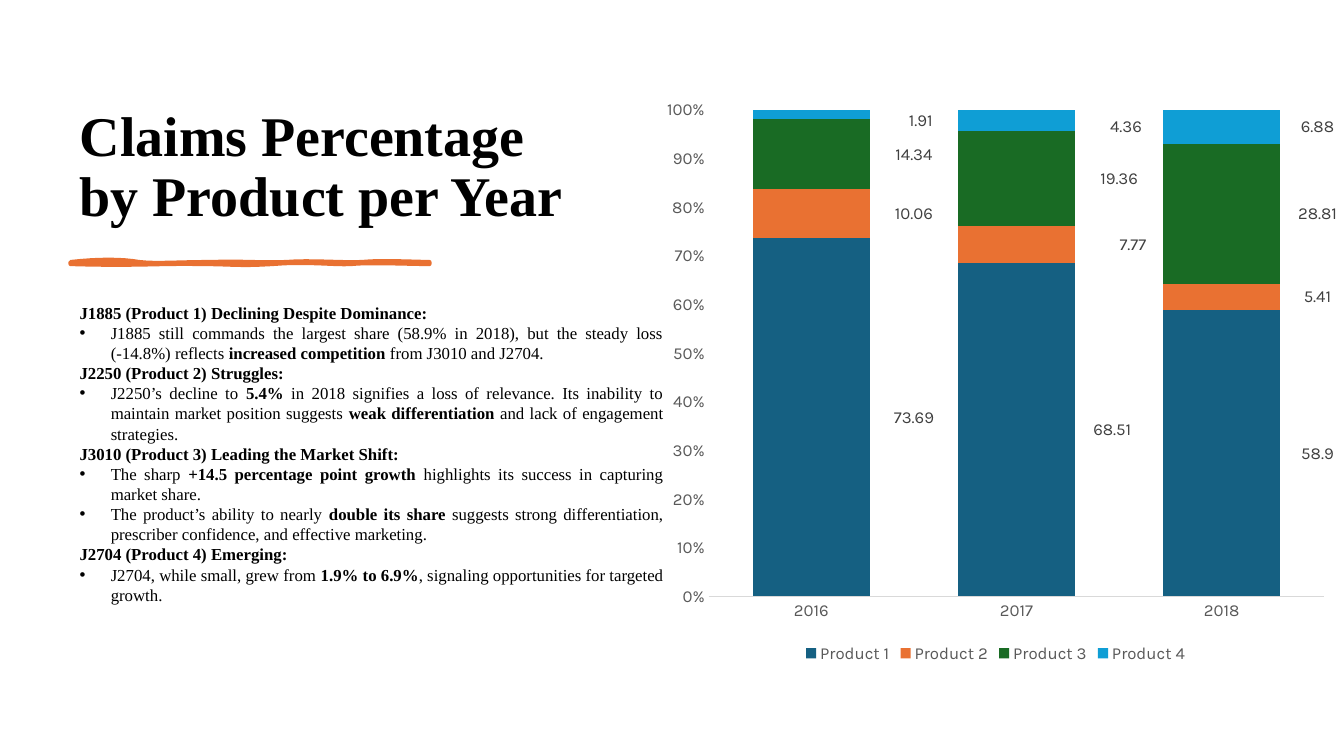
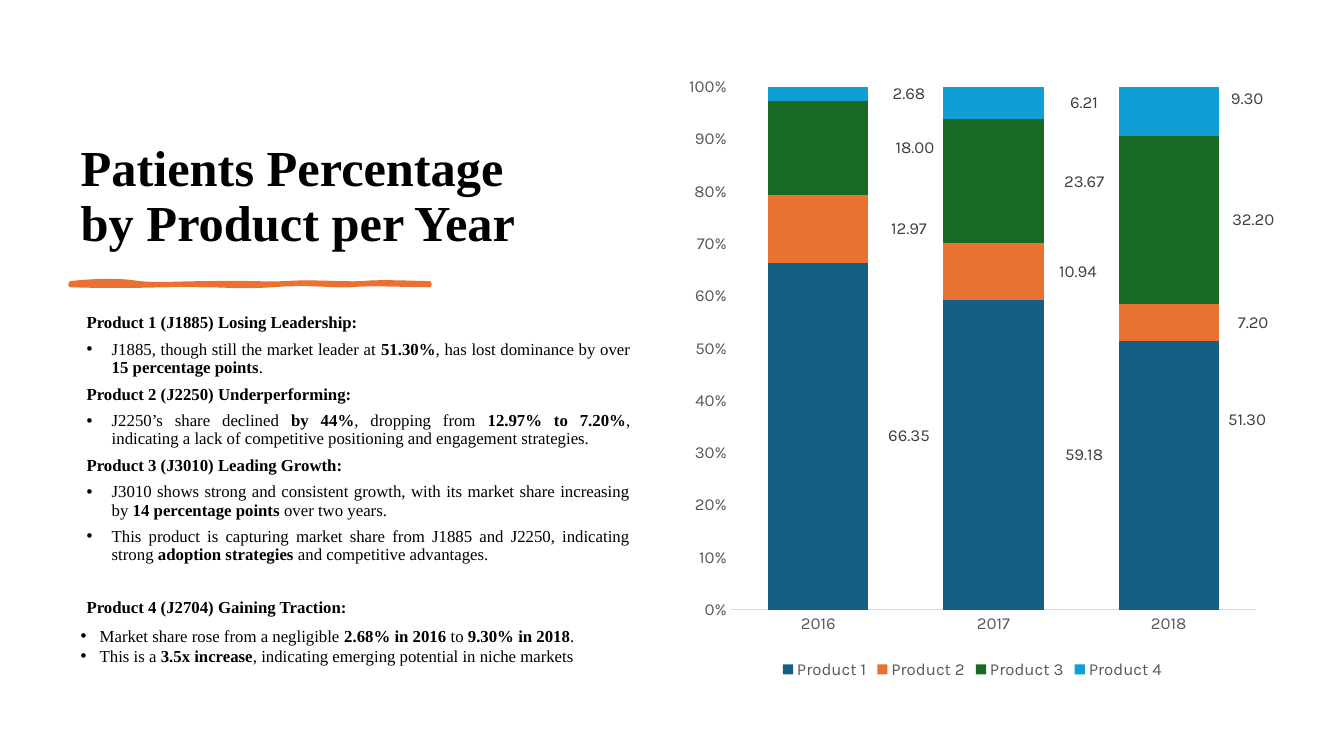
"""Build two slides on yearly product shares, each with notes and a stacked chart."""
import dataclasses
import itertools
import typing

import lxml.etree
import pptx
import pptx.chart.chart
import pptx.chart.data
import pptx.dml.color
import pptx.enum.chart
import pptx.enum.text
import pptx.oxml.ns
import pptx.slide
import pptx.util

Inches = pptx.util.Inches
Pt = pptx.util.Pt
RGB = pptx.dml.color.RGBColor
ALIGN = pptx.enum.text.PP_ALIGN
ANCHOR = pptx.enum.text.MSO_ANCHOR
CHART = pptx.enum.chart
qn = pptx.oxml.ns.qn

BLACK = RGB(0x00, 0x00, 0x00)
BLUE = RGB(0x15, 0x60, 0x82)
ORANGE = RGB(0xE9, 0x71, 0x32)
GREEN = RGB(0x19, 0x6B, 0x24)
SKY = RGB(0x0F, 0x9E, 0xD5)
GRAY = RGB(0x59, 0x59, 0x59)
DARK = RGB(0x40, 0x40, 0x40)
PALE = RGB(0xD9, 0xD9, 0xD9)
SERIF = "Times New Roman"
SANS = "Karla"
YEARS = ("2016", "2017", "2018")
FILLS = (BLUE, ORANGE, GREEN, SKY)

Box = tuple[float, float, float, float]
Pair = tuple[float, float]

WAVE: tuple[Pair, ...] = (
    (0, 0), (0.27, -0.03), (0.51, -0.03), (0.68, 0), (0.85, 0.02), (1.07, 0),
    (1.39, 0), (1.71, -0.01), (1.9, 0.01), (2.14, 0), (2.38, -0.02), (2.69, 0.01),
    (2.89, 0), (3.09, -0.02), (3.42, 0), (3.56, 0), (3.56, 0), (3.56, 0.01),
    (3.56, 0.02), (3.38, 0.02), (2.94, 0), (2.78, 0.02), (2.62, 0.03), (2.34, -0.01),
    (2, 0.02), (1.65, 0.04), (1.61, 0.02), (1.29, 0.02), (0.96, 0.01), (0.62, 0.04),
    (0, 0.02), (0, 0.01), (0, 0), (0, 0),
)


@dataclasses.dataclass(frozen=True)
class Style:
    """Indents and spacing of one kind of paragraph."""
    left: float = 0
    hang: float = 0
    after: float = 0
    lead: float = 1
    before: float = 0


@dataclasses.dataclass(frozen=True)
class Graph:
    """Place, values and label shifts of a chart, by series."""
    box: Box
    mask: str
    rows: tuple[tuple[float, ...], ...]
    shifts: tuple[tuple[Pair, ...], ...]
    plot: Box | None = None


@dataclasses.dataclass(frozen=True)
class Page:
    """Everything that one slide shows."""
    title: str
    size: float
    head: Box
    foot: float
    wave: float
    body: Box
    notes: tuple[tuple[Style, str], ...]
    graph: Graph


HEAD = Style()
ITEM = Style(0.31, 0.31)
TOPIC = Style(0.06, 0, 6, 0.9)
POINT = Style(0.31, 0.25, 6, 0.9)
LAST = dataclasses.replace(TOPIC, before=18.5)
SMALL = Style(0.19, 0.19)

PAGES = (
    Page(
        "**Claims Percentage by Product per Year**", 40, (0.69, 0.7, 5.27, 1.62), 0.05,
        2.6, (0.69, 2.95, 5.99, 3.4),
        (
            (HEAD, "**J1885 (Product 1) Declining Despite Dominance:**"),
            (ITEM, "J1885 still commands the largest share (58.9% in 2018), but the steady "
                   "loss (-14.8%) reflects **increased competition** from J3010 and J2704."),
            (HEAD, "**J2250 (Product 2) Struggles:**"),
            (ITEM, "J2250’s decline to **5.4%** in 2018 signifies a loss of relevance. Its "
                   "inability to maintain market position suggests **weak differentiation** "
                   "and lack of engagement strategies."),
            (HEAD, "**J3010 (Product 3) Leading the Market Shift:**"),
            (ITEM, "The sharp **+14.5 percentage point growth** highlights its success in "
                   "capturing market share."),
            (ITEM, "The product’s ability to nearly **double its share** suggests strong "
                   "differentiation, prescriber confidence, and effective marketing."),
            (HEAD, "**J2704 (Product 4) Emerging:**"),
            (ITEM, "J2704, while small, grew from **1.9% to 6.9%**, signaling opportunities "
                   "for targeted growth."),
        ),
        Graph(
            (6.48, 0.88, 6.79, 5.74), "General",
            ((73.69, 68.51, 58.9), (10.06, 7.77, 5.41),
             (14.34, 19.36, 28.81), (1.91, 4.36, 6.88)),
            (((0.15, 0), (0.14, 0), (0.14, 0)), ((0.15, 0), (0.17, 0), (0.14, 0)),
             ((0.15, 0), (0.15, 0), (0.14, 0)), ((0.16, 0.01), (0.16, 0.01), (0.14, 0))),
        ),
    ),
    Page(
        "**Patients Percentage by Product per Year**", 36, (0.7, 1.19, 4.58, 1.88), 0.57,
        2.81, (0.7, 3.07, 5.65, 4.3),
        (
            (TOPIC, "**Product 1 (J1885) Losing Leadership:**"),
            (POINT, "J1885, though still the market leader at **51.30%**, has lost dominance "
                    "by over **15 percentage points**."),
            (TOPIC, "**Product 2 (J2250) Underperforming:**"),
            (POINT, "J2250’s share declined **by 44%**, dropping from **12.97% to 7.20%**, "
                    "indicating a lack of competitive positioning and engagement strategies."),
            (TOPIC, "**Product 3 (J3010) Leading Growth:**"),
            (POINT, "J3010 shows strong and consistent growth, with its market share "
                    "increasing by **14 percentage points** over two years."),
            (POINT, "This product is capturing market share from J1885 and J2250, indicating "
                    "strong **adoption strategies** and competitive advantages."),
            (LAST, "**Product 4 (J2704) Gaining Traction:**"),
            (SMALL, "Market share rose from a negligible **2.68% in 2016** to "
                    "**9.30% in 2018**."),
            (SMALL, "This is a **3.5x increase**, indicating emerging potential in niche "
                    "markets"),
        ),
        Graph(
            (6.65, 0.68, 5.99, 6.1), "0.00",
            ((66.35, 59.18, 51.3), (12.97, 10.94, 7.2),
             (18, 23.67, 32.2), (2.68, 6.21, 9.3)),
            (((0.15, 0), (0.15, 0), (0.13, -0.09)), ((0.15, 0), (0.14, 0), (0.14, 0)),
             ((0.16, 0), (0.15, 0), (0.14, 0)), ((0.15, 0), (0.15, 0), (0.13, -0.02))),
            (0.1, 0.03, 0.87, 0.85),
        ),
    ),
)


def scale(box: Box) -> list[pptx.util.Length]:
    """Turn a box in inches into lengths."""
    return [Inches(side) for side in box]


def paint(font: typing.Any, size: float, color: RGB, name: str) -> None:
    """Set the size, colour and face of a font."""
    font.size, font.name = Pt(size), name
    font.color.rgb = color


def write(para: typing.Any, text: str, *, size: float = 12, style: Style = HEAD,
          align: ALIGN = ALIGN.JUSTIFY) -> None:
    """Fill a paragraph, with the parts between double stars in bold."""
    para.alignment, para.line_spacing = align, style.lead
    para.space_before, para.space_after = Pt(style.before), Pt(style.after)
    props = para._p.get_or_add_pPr()
    props.set("marL", str(Inches(style.left)))
    props.set("indent", str(-Inches(style.hang)))
    if style.hang:
        lxml.etree.SubElement(props, qn("a:buFont"), typeface="Arial")
        lxml.etree.SubElement(props, qn("a:buChar"), char="•")
    for index, part in enumerate(text.split("**")):
        if part:
            run = para.add_run()
            run.text, run.font.bold = part, index % 2 == 1
            paint(run.font, size, BLACK, SERIF)


def add_wave(slide: pptx.slide.Slide, top: float) -> None:
    """Draw the brush stroke below the title."""
    dots = [(0.7 + x, top + y) for x, y in WAVE]
    path_dots = []
    for start in range(0, len(dots) - 3, 3):
        curve = dots[start:start + 4]
        for step in range(1, 9):
            t = step / 8
            parts = ((1 - t) ** 3, 3 * t * (1 - t) ** 2, 3 * t * t * (1 - t), t ** 3)
            path_dots.append(tuple(
                Inches(sum(w * dot[axis] for w, dot in zip(parts, curve)))
                for axis in (0, 1)))
    pen = slide.shapes.build_freeform(*(Inches(side) for side in dots[0]))
    pen.add_line_segments(path_dots, close=True)
    stroke = pen.convert_to_shape()
    stroke.shadow.inherit = False
    stroke.fill.solid()
    stroke.fill.fore_color.rgb = ORANGE
    stroke.line.color.rgb = ORANGE
    stroke.line.width = Pt(3)


def place(owner: typing.Any, index: int, **marks: str | float) -> None:
    """Give a chart part a manual layout."""
    for old in owner.findall(qn("c:layout")):
        owner.remove(old)
    layout = lxml.etree.Element(qn("c:layout"))
    manual = lxml.etree.SubElement(layout, qn("c:manualLayout"))
    for key, value in marks.items():
        lxml.etree.SubElement(manual, qn(f"c:{key}"), val=str(value))
    owner.insert(index, layout)


def style_axes(chart: pptx.chart.chart.Chart) -> None:
    """Format both axes and the legend."""
    for axis in (chart.category_axis, chart.value_axis):
        axis.has_major_gridlines = False
        axis.major_tick_mark = axis.minor_tick_mark = CHART.XL_TICK_MARK.NONE
        paint(axis.tick_labels.font, 12, GRAY, SANS)
    chart.category_axis.format.line.color.rgb = PALE
    chart.category_axis.format.line.width = Pt(0.75)
    chart.value_axis.format.line.fill.background()
    chart.value_axis.tick_labels.number_format = "0%"
    chart.value_axis.tick_labels.number_format_is_linked = False
    chart.has_legend = True
    chart.legend.position = CHART.XL_LEGEND_POSITION.BOTTOM
    chart.legend.include_in_layout = False
    paint(chart.legend.font, 12, GRAY, SANS)


def add_graph(slide: pptx.slide.Slide, graph: Graph) -> None:
    """Add the stacked chart with its shifted labels."""
    data = pptx.chart.data.CategoryChartData(number_format=graph.mask)
    data.categories = YEARS
    for number, row in enumerate(graph.rows, 1):
        data.add_series(f"Product {number}", row)
    chart = slide.shapes.add_chart(
        CHART.XL_CHART_TYPE.COLUMN_STACKED_100, *scale(graph.box), data).chart
    chart.has_title = False
    paint(chart.font, 10, BLACK, SANS)
    style_axes(chart)
    plot = chart.plots[0]
    plot.gap_width, plot.overlap, plot.vary_by_categories = 75, 100, False
    for series, color in zip(plot.series, FILLS):
        series.format.fill.solid()
        series.format.fill.fore_color.rgb = color
        labels = series.data_labels
        labels.show_value = True
        labels.number_format, labels.number_format_is_linked = graph.mask, False
        paint(labels.font, 12, DARK, SANS)
        for index in range(len(YEARS)):
            paint(series.points[index].data_label.font, 12, DARK, SANS)
    for lead in chart.element.xpath("//c:showLeaderLines"):
        lead.set("val", "0")
    shifts = itertools.chain.from_iterable(graph.shifts)
    for label, (x, y) in zip(chart.element.xpath("//c:dLbl"), shifts):
        place(label, 1, x=x, y=y)
        mask = lxml.etree.Element(
            qn("c:numFmt"), formatCode=graph.mask, sourceLinked="0")
        label.insert(2, mask)
    if graph.plot:
        area = chart.element.xpath("//c:plotArea")[0]
        place(area, 0, layoutTarget="inner", xMode="edge", yMode="edge",
              **dict(zip("xywh", graph.plot)))


def add_page(deck: typing.Any, page: Page) -> None:
    """Add one slide with title, stroke, notes and chart."""
    slide = deck.slides.add_slide(deck.slide_layouts[5])
    title = slide.shapes.title
    title.left, title.top, title.width, title.height = scale(page.head)
    frame = title.text_frame
    frame.word_wrap, frame.vertical_anchor = True, ANCHOR.BOTTOM
    frame.auto_size = pptx.enum.text.MSO_AUTO_SIZE.NONE
    frame.margin_bottom = Inches(page.foot)
    write(frame.paragraphs[0], page.title, size=page.size,
          style=Style(lead=0.9), align=ALIGN.LEFT)
    add_wave(slide, page.wave)
    body = slide.shapes.add_textbox(*scale(page.body)).text_frame
    body.word_wrap = True
    for index, (style, text) in enumerate(page.notes):
        para = body.add_paragraph() if index else body.paragraphs[0]
        write(para, text, style=style)
    add_graph(slide, page.graph)


def main() -> None:
    """Build and save the deck."""
    deck = pptx.Presentation()
    deck.slide_width, deck.slide_height = Inches(13.33), Inches(7.5)
    for page in PAGES:
        add_page(deck, page)
    deck.save("out.pptx")


if __name__ == "__main__":
    main()
